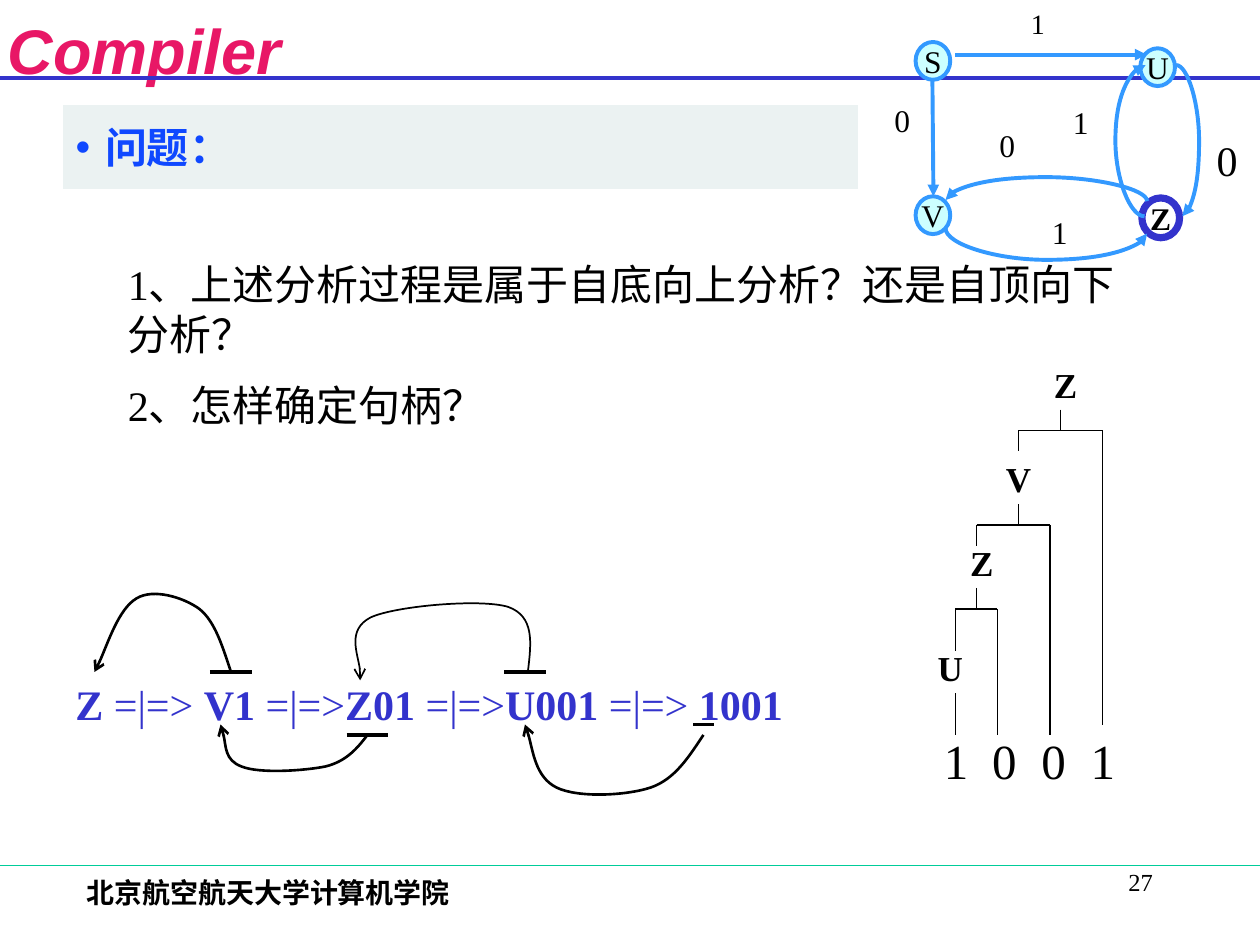
from dataclasses import dataclass

from lxml import etree
from pptx import Presentation
from pptx.dml.color import RGBColor
from pptx.enum.shapes import MSO_CONNECTOR, MSO_SHAPE
from pptx.enum.text import MSO_ANCHOR, MSO_AUTO_SIZE, PP_ALIGN
from pptx.oxml.ns import qn
from pptx.util import Emu, Pt

LEFT, CENTER, RIGHT = PP_ALIGN.LEFT, PP_ALIGN.CENTER, PP_ALIGN.RIGHT
TOP, MIDDLE = MSO_ANCHOR.TOP, MSO_ANCHOR.MIDDLE
STRAIGHT, CURVE = MSO_CONNECTOR.STRAIGHT, MSO_CONNECTOR.CURVE
OVAL, DONUT = MSO_SHAPE.OVAL, MSO_SHAPE.DONUT
EMU_PER_PX = 7620  # 120 px to the inch


@dataclass(frozen=True)
class Theme:
    serif: str = "Times New Roman"
    sans: str = "Arial"
    black: str = "000000"
    title: str = "E81766"
    heading: str = "0F48FF"
    band: str = "D9E6E6"
    indigo: str = "3333CC"
    green: str = "00CC99"
    edge: str = "3399FF"
    state: str = "CCFFFF"
    title_size: int = 36
    leaf_size: int = 28
    body_size: int = 24
    tree_size: int = 20
    state_size: int = 18
    small_size: int = 16
    number_size: int = 14
    hair: float = 0.75
    thin: float = 1
    medium: float = 1.5
    thick: float = 2.25


T = Theme()


@dataclass(frozen=True)
class State:
    name: str
    box: tuple
    shape: int = OVAL
    line: str = T.edge
    bold: bool = False


@dataclass(frozen=True)
class Arc:
    """Curved edge; box is the frame before rotation, bulge is signed."""
    box: tuple
    rot: int
    flip: str
    bulge: int
    arrow: str = "tailEnd"


@dataclass(frozen=True)
class TreeNode:
    """Label box and stem, with an optional bar from stem foot to two children."""
    label: str
    box: tuple
    x: int
    stem: tuple
    left: tuple = ()
    right: tuple = ()


STATES = (
    State("S", (872, 40, 33, 36)),
    State("U", (1086, 46, 33, 36)),
    State("V", (872, 187, 33, 36)),
    State("Z", (1086, 187, 39, 41), DONUT, T.indigo, True),
)
ARCS = (
    Arc((1090, 62, 1, 144), 180, "flipH", -28),
    Arc((996, 95, 1, 192), 90, "flipV", -22, "headEnd"),
    Arc((994, 124, 5, 192), 270, "flipV", -25, "headEnd"),
    Arc((1120, 62, 6, 144), 0, "", 22),
)
EDGES = ((910, 52, 1092, 52), (888, 76, 889, 187))
EDGE_LABELS = (
    ("1", (970, 0, 40, 44), T.small_size),
    ("1", (1010, 92, 54, 48), T.state_size),
    ("1", (990, 197, 50, 48), T.state_size),
    ("0", (840, 90, 50, 48), T.state_size),
    ("0", (940, 114, 50, 48), T.state_size),
    ("0", (1147, 122, 33, 60), T.body_size),
)
TREE = (
    TreeNode("Z", (990, 340, 50, 52), 1010, (390, 410), (970, 430), (1050, 690)),
    TreeNode("V", (940, 430, 60, 52), 970, (480, 500), (930, 520), (1000, 700)),
    TreeNode("Z", (910, 510, 50, 52), 930, (560, 580), (910, 620), (950, 700)),
    TreeNode("U", (880, 610, 50, 52), 910, (660, 700)),
)
DERIVATION = (("Z ", True), ("=|=> ", False), ("V1", True), (" =|=>", False),
              ("Z01", True), (" =|=>", False), ("U001", True),
              (" =|=> ", False), ("1001", True))
HANDLE_BARS = ((480, 520, 640), (330, 370, 700), (200, 240, 640), (660, 680, 690))
REDUCTIONS = (
    (T.medium, ((670, 700), (656, 721), (643, 742), (620, 750), (596, 758),
                (550, 760), (530, 750), (510, 740), (505, 700), (500, 690))),
    (T.thin, ((503, 638), (506, 612), (509, 587), (484, 578), (458, 570),
              (377, 577), (353, 588), (330, 600), (346, 638), (343, 648))),
    (T.medium, ((350, 700), (340, 713), (330, 725), (310, 730), (290, 734),
                (247, 737), (230, 730), (214, 724), (214, 697), (210, 690))),
    (T.medium, ((220, 640), (212, 616), (205, 592), (190, 580), (175, 569),
                (146, 560), (130, 570), (113, 580), (97, 629), (90, 640))),
)


def px(n: float) -> Emu:
    return Emu(round(n * EMU_PER_PX))


def place(sp, box: tuple) -> None:
    sp.left, sp.top, sp.width, sp.height = map(px, box)


def write(tf, *lines, size: int, color: str = T.black, font: str = T.serif,
          bold: bool = False, italic: bool = False, align=LEFT, anchor=TOP,
          wrap: bool = True, gap: int = 0, bullet: int = 0, tabs: tuple = ()) -> None:
    """Fill a frame; a line is a string or a sequence of (text, bold) runs."""
    tf.word_wrap, tf.auto_size, tf.vertical_anchor = wrap, MSO_AUTO_SIZE.NONE, anchor
    for i, line in enumerate(lines):
        p = tf.add_paragraph() if i else tf.paragraphs[0]
        p.alignment, p.space_before = align, Pt(gap if i else 0)
        pPr = p._p.get_or_add_pPr()
        if bullet:
            pPr.set("marL", str(px(bullet)))
            pPr.set("indent", str(-px(bullet)))
            etree.SubElement(pPr, qn("a:buChar"), char="•")
        if tabs:
            stops = etree.SubElement(pPr, qn("a:tabLst"))
            for stop in tabs:
                etree.SubElement(stops, qn("a:tab"), pos=str(px(stop)), algn="l")
        for text, strong in ((line, bold),) if isinstance(line, str) else line:
            r = p.add_run()
            r.text = text
            r.font.name, r.font.size = font, Pt(size)
            r.font.bold, r.font.italic = strong, italic
            r.font.color.rgb = RGBColor.from_string(color)


def add_label(shapes, box: tuple, *lines, **fmt) -> None:
    sp = shapes.add_textbox(*map(px, box))
    write(sp.text_frame, *lines, **fmt)


def stroke(sp, color: str, width: float, arrow: str = "", kind: str = "triangle") -> None:
    sp.line.color.rgb = RGBColor.from_string(color)
    sp.line.width = Pt(width)
    if arrow:
        etree.SubElement(sp.line._get_or_add_ln(), qn(f"a:{arrow}"), type=kind)


def add_line(shapes, ends: tuple, color: str, width: float, arrow: str = "", form=STRAIGHT):
    cx = shapes.add_connector(form, *map(px, ends))
    stroke(cx, color, width, arrow)
    etree.SubElement(cx._element.spPr, qn("a:effectLst"))
    return cx


def add_arc(shapes, arc: Arc) -> None:
    x, y, w, h = arc.box
    cx = add_line(shapes, (x, y, x + w, y + h), T.edge, T.thick, arc.arrow, CURVE)
    spPr = cx._element.spPr
    xfrm = spPr.find(qn("a:xfrm"))
    xfrm.set("rot", str(arc.rot * 60000))
    if arc.flip:
        xfrm.set(arc.flip, "1")
    adjust = next(spPr.iter(qn("a:avLst")))
    etree.SubElement(adjust, qn("a:gd"), name="adj1",
                     fmla=f"val {round(arc.bulge / w * 100000)}")


def add_reduction(shapes, width: float, points: tuple) -> None:
    """Open cubic curve: a start point, then triples of control, control, end."""
    builder = shapes.build_freeform(*points[0], scale=EMU_PER_PX)
    builder.add_line_segments(points[1:], close=False)
    sp = builder.convert_to_shape()
    outline = next(sp._element.iter(qn("a:path")))
    segments = outline.findall(qn("a:lnTo"))
    for i in range(0, len(segments), 3):
        cubic = etree.SubElement(outline, qn("a:cubicBezTo"))
        for segment in segments[i:i + 3]:
            cubic.append(segment[0])
            outline.remove(segment)
    sp.fill.background()
    sp.shadow.inherit = False
    stroke(sp, T.black, width, "tailEnd", "arrow")


def add_state(shapes, state: State) -> None:
    sp = shapes.add_shape(state.shape, *map(px, state.box))
    if state.shape == DONUT:
        sp.adjustments[0] = 0.08
    sp.shadow.inherit = False
    sp.fill.solid()
    sp.fill.fore_color.rgb = RGBColor.from_string(T.state)
    stroke(sp, state.line, T.thick)
    write(sp.text_frame, state.name, size=T.state_size, bold=state.bold,
          align=CENTER, anchor=MIDDLE, wrap=False)


def add_tree_node(shapes, node: TreeNode) -> None:
    top, foot = node.stem
    lines = [(node.x, top, node.x, foot)]
    if node.left:
        lines.append((node.left[0], foot, node.right[0], foot))
        lines += [(x, foot, x, end) for x, end in (node.left, node.right)]
    for ends in lines:
        add_line(shapes, ends, T.black, T.hair)
    add_label(shapes, node.box, node.label, size=T.tree_size, bold=True, align=CENTER)


def add_frame(slide) -> None:
    shapes = slide.shapes
    title, body = shapes.title, slide.placeholders[1]
    place(title, (0, 5, 275, 74))
    title.text_frame.margin_left = title.text_frame.margin_right = 0
    write(title.text_frame, "Compiler", size=T.title_size, color=T.title, font=T.sans,
          bold=True, italic=True, align=CENTER, wrap=False)
    place(body, (60, 100, 757, 80))
    body.fill.solid()
    body.fill.fore_color.rgb = RGBColor.from_string(T.band)
    tint = next(body._element.spPr.iter(qn("a:srgbClr")))
    etree.SubElement(tint, qn("a:alpha"), val="50000")
    write(body.text_frame, "问题：", size=T.body_size, color=T.heading, bold=True,
          anchor=MIDDLE, bullet=28)
    add_line(shapes, (0, 74, 1200, 74), T.indigo, T.thick)
    add_line(shapes, (0, 824, 1200, 824), T.green, T.hair)
    add_label(shapes, (71, 828, 497, 60), "北京航空航天大学计算机学院",
              size=T.small_size, bold=True)
    add_label(shapes, (860, 820, 250, 60), "27", size=T.number_size, align=RIGHT)


def main() -> None:
    prs = Presentation()
    prs.slide_width, prs.slide_height = px(1200), px(900)
    slide = prs.slides.add_slide(prs.slide_layouts[1])
    shapes = slide.shapes
    add_frame(slide)
    add_label(shapes, (110, 240, 980, 180),
              "1、上述分析过程是属于自底向上分析？还是自顶向下分析？",
              "2、怎样确定句柄？", size=T.body_size, gap=12)
    for state in STATES:
        add_state(shapes, state)
    for ends in EDGES:
        add_line(shapes, ends, T.edge, T.thick, "tailEnd")
    for arc in ARCS:
        add_arc(shapes, arc)
    for text, box, size in EDGE_LABELS:
        add_label(shapes, box, text, size=size)
    add_label(shapes, (887, 690, 213, 68), "1\t0\t0\t1", size=T.leaf_size,
              tabs=(46, 93, 140))
    for node in TREE:
        add_tree_node(shapes, node)
    add_label(shapes, (60, 640, 720, 60), DERIVATION, size=T.body_size, color=T.indigo)
    for x1, x2, y in HANDLE_BARS:
        add_line(shapes, (x1, y, x2, y), T.black, T.thick)
    for width, points in REDUCTIONS:
        add_reduction(shapes, width, points)
    prs.save("out.pptx")


if __name__ == "__main__":
    main()
